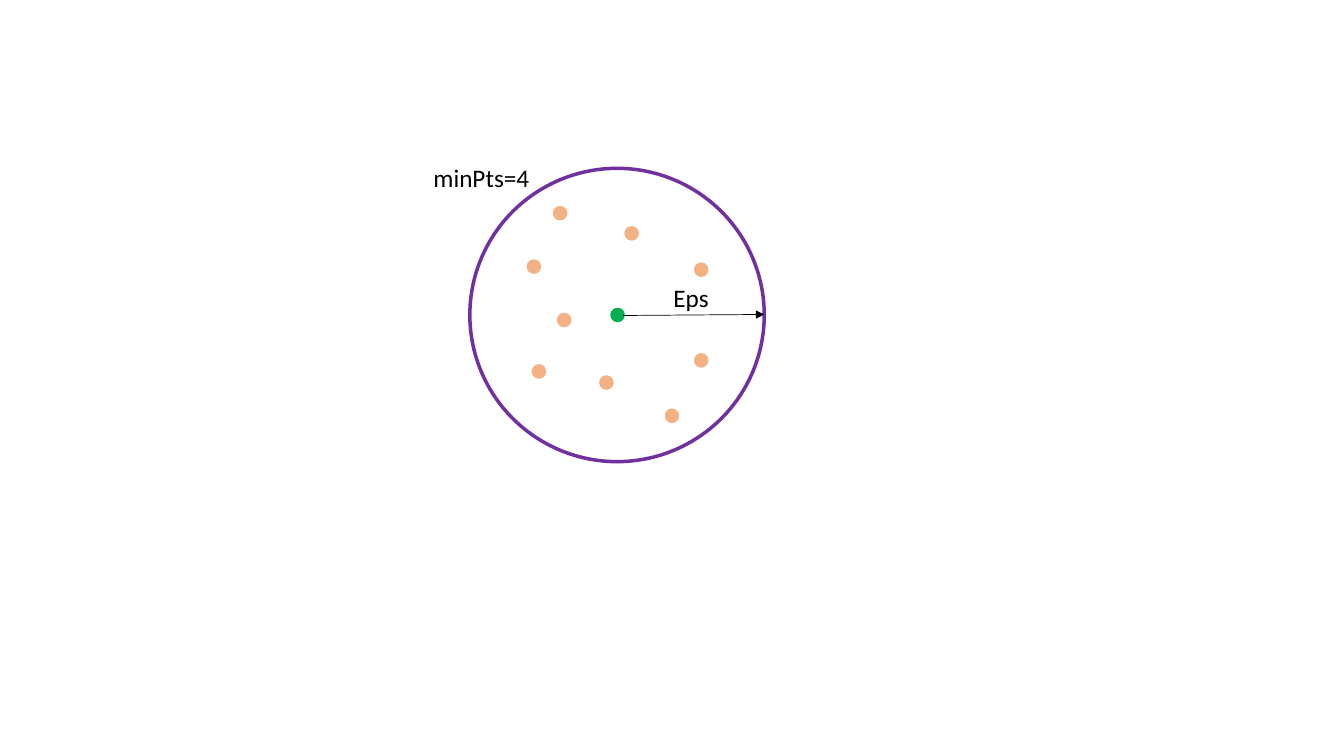
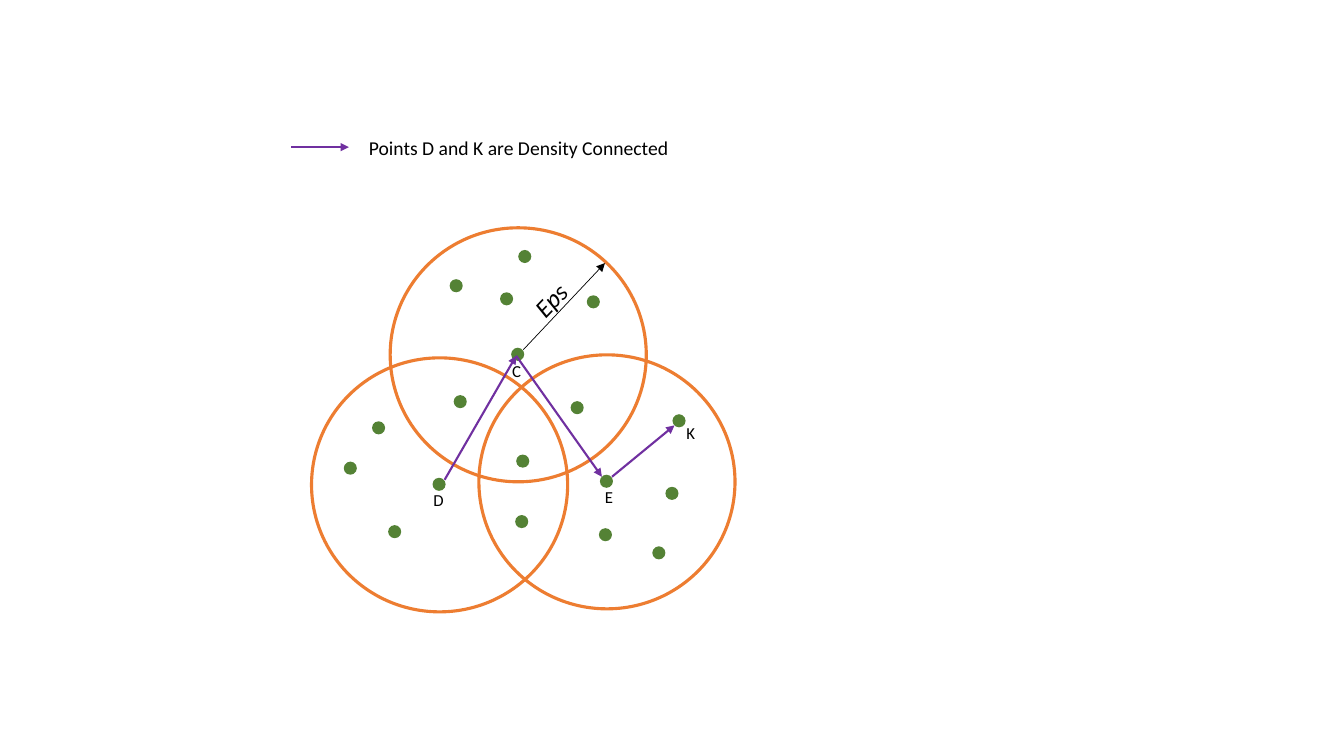
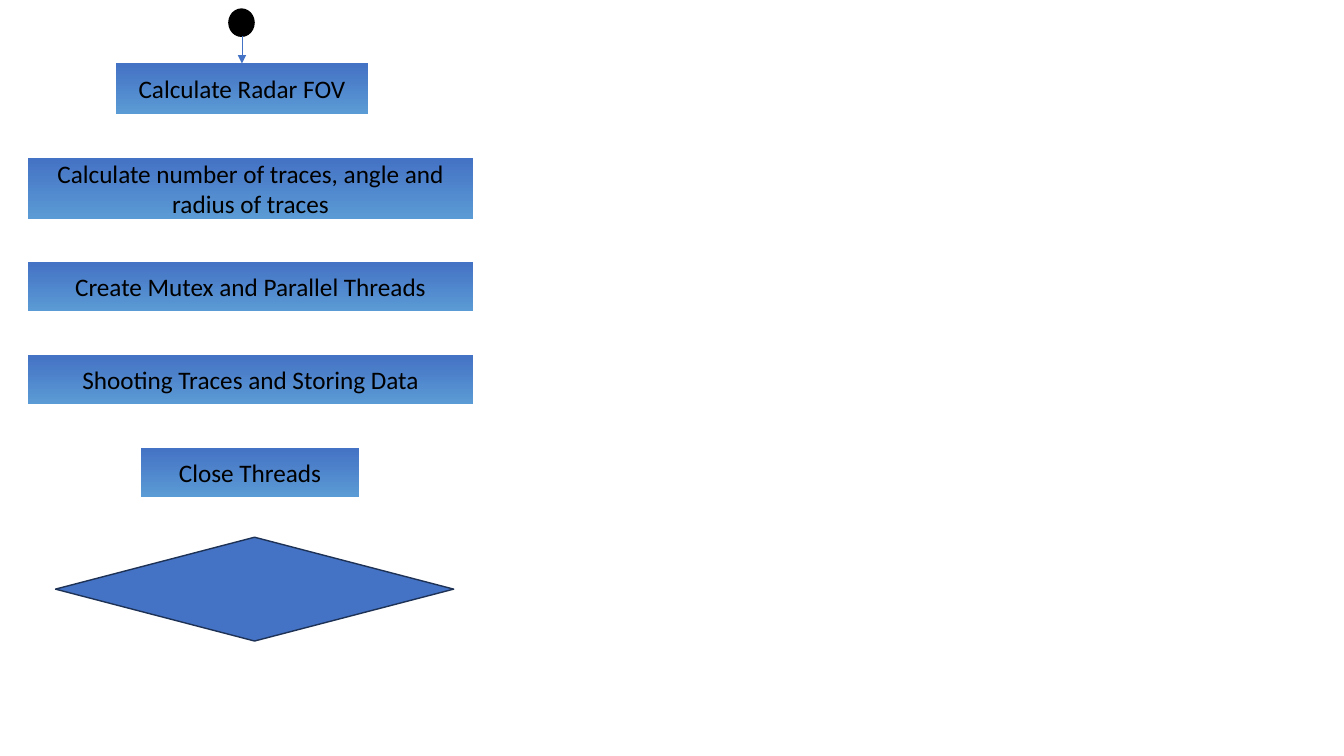
from lxml import etree
from pptx import Presentation
from pptx.dml.color import RGBColor
from pptx.enum.shapes import MSO_CONNECTOR, MSO_SHAPE as SHAPE
from pptx.enum.text import MSO_ANCHOR, PP_ALIGN
from pptx.oxml.ns import qn
from pptx.util import Pt

PX = 9144
FONT = "Calibri"
BLACK = RGBColor(0x00, 0x00, 0x00)
PURPLE = RGBColor(0x70, 0x30, 0xA0)
GREEN = RGBColor(0x00, 0xB0, 0x50)
PEACH = RGBColor(0xF4, 0xB1, 0x83)
ORANGE = RGBColor(0xED, 0x7D, 0x31)
MOSS = RGBColor(0x54, 0x82, 0x35)
BLUE = RGBColor(0x44, 0x72, 0xC4)
SKY = RGBColor(0x5B, 0x9B, 0xD5)
NAVY = RGBColor(0x1E, 0x32, 0x56)

NEIGHBOURS = [(529, 363), (621, 226), (596, 374), (524, 259), (690, 352),
              (661, 407), (550, 206), (554, 312), (690, 262)]
CLUSTERS = [(309, 355), (387, 226), (475, 352)]
MEMBERS = [(446, 277), (514, 248), (450, 392), (582, 293), (341, 458),
           (512, 451), (369, 418), (385, 521), (566, 398), (667, 411),
           (647, 542), (594, 524), (511, 511), (660, 483), (496, 290)]
POINT_NAMES = [("C", 498, 353), ("D", 420, 481), ("E", 590, 478), ("K", 671, 414)]
PATHS = [(441, 476, 512, 353), (512, 353, 597, 473),
         (607, 473, 669, 422), (289, 146, 346, 146)]
STEPS = [("Calculate Radar FOV", 115, 63, 250, 50),
         ("Calculate number of traces, angle and radius of traces", 28, 157, 441, 60),
         ("Create Mutex and Parallel Threads", 28, 260, 441, 49),
         ("Shooting Traces and Storing Data", 28, 352, 441, 49),
         ("Close Threads", 140, 444, 216, 49)]


def px(*lengths):
    return [n * PX for n in lengths]


def add_shape(s, kind, x, y, w, h, fill=None, line=None, width=1):
    sp = s.shapes.add_shape(kind, *px(x, y, w, h))
    sp.shadow.inherit = False
    if fill is None:
        sp.fill.background()
    else:
        sp.fill.solid()
        sp.fill.fore_color.rgb = fill
    if line is None:
        sp.line.fill.background()
    else:
        sp.line.color.rgb = line
        sp.line.width = Pt(width)
    return sp


def add_dots(s, places, size, fill, line=None):
    for x, y in places:
        add_shape(s, SHAPE.OVAL, x, y, size, size, fill, line, 2.5)


def add_arrow(s, x1, y1, x2, y2, color, width):
    cn = s.shapes.add_connector(MSO_CONNECTOR.STRAIGHT, *px(x1, y1, x2, y2))
    cn.line.color.rgb = color
    cn.line.width = Pt(width)
    etree.SubElement(cn.line._get_or_add_ln(), qn("a:tailEnd"), type="triangle")
    etree.SubElement(cn._element.spPr, qn("a:effectLst"))
    return cn


def set_text(sp, text, size, italic=None):
    tf = sp.text_frame
    tf.word_wrap = True
    p = tf.paragraphs[0]
    p.text = text
    font = p.runs[0].font
    font.name = FONT
    font.size = Pt(size)
    font.italic = italic
    font.color.rgb = BLACK
    return tf


def add_label(s, text, x, y, w, h, size, italic=None):
    sp = s.shapes.add_textbox(*px(x, y, w, h))
    set_text(sp, text, size, italic)
    return sp


def add_step(s, text, x, y, w, h):
    sp = add_shape(s, SHAPE.RECTANGLE, x, y, w, h)
    sp.fill.gradient()
    sp.fill.gradient_angle = 90
    for stop, color in zip(sp.fill.gradient_stops, (SKY, BLUE)):
        stop.color.rgb = color
    tf = set_text(sp, text, 18)
    tf.vertical_anchor = MSO_ANCHOR.MIDDLE
    tf.paragraphs[0].alignment = PP_ALIGN.CENTER
    return sp


def build_neighbourhood(s):
    add_shape(s, SHAPE.OVAL, 466, 167, 292, 291, line=PURPLE, width=2.5)
    add_dots(s, [(607, 307)], 11, GREEN, GREEN)
    add_dots(s, NEIGHBOURS, 11, PEACH, PEACH)
    add_arrow(s, 618, 313, 758, 312, BLACK, 0.5)
    add_label(s, "Eps", 658, 275, 58, 40, 18)
    add_label(s, "minPts=4", 420, 156, 125, 40, 18)


def build_density_connection(s):
    for x, y in CLUSTERS:
        add_shape(s, SHAPE.OVAL, x, y, 254, 252, line=ORANGE, width=2.25)
    cores = [(x + 120, y + 119) for x, y in CLUSTERS]
    add_dots(s, cores + MEMBERS, 13, MOSS)
    add_arrow(s, 519, 347, 600, 261, BLACK, 0.5)
    add_label(s, "Eps", 517, 273, 66, 40, 18, italic=True).rotation = 313.8
    for name, x, y in POINT_NAMES:
        add_label(s, name, x, y, 28, 30, 12)
    for ends in PATHS:
        add_arrow(s, *ends, PURPLE, 1.5)
    add_label(s, "Points D and K are Density Connected", 356, 130, 394, 34, 14)


def build_flowchart(s):
    add_shape(s, SHAPE.OVAL, 227, 9, 25, 27, BLACK, BLACK)
    arrow = add_arrow(s, 240, 36, 240, 63, BLUE, 0.5)
    boxes = [add_step(s, *step) for step in STEPS]
    arrow.end_connect(boxes[0], 0)
    add_shape(s, SHAPE.DIAMOND, 55, 533, 395, 103, BLUE, NAVY)


def main():
    prs = Presentation()
    prs.slide_width, prs.slide_height = px(1333, 750)
    for build in (build_neighbourhood, build_density_connection, build_flowchart):
        build(prs.slides.add_slide(prs.slide_layouts[6]))
    prs.save("out.pptx")


if __name__ == "__main__":
    main()
